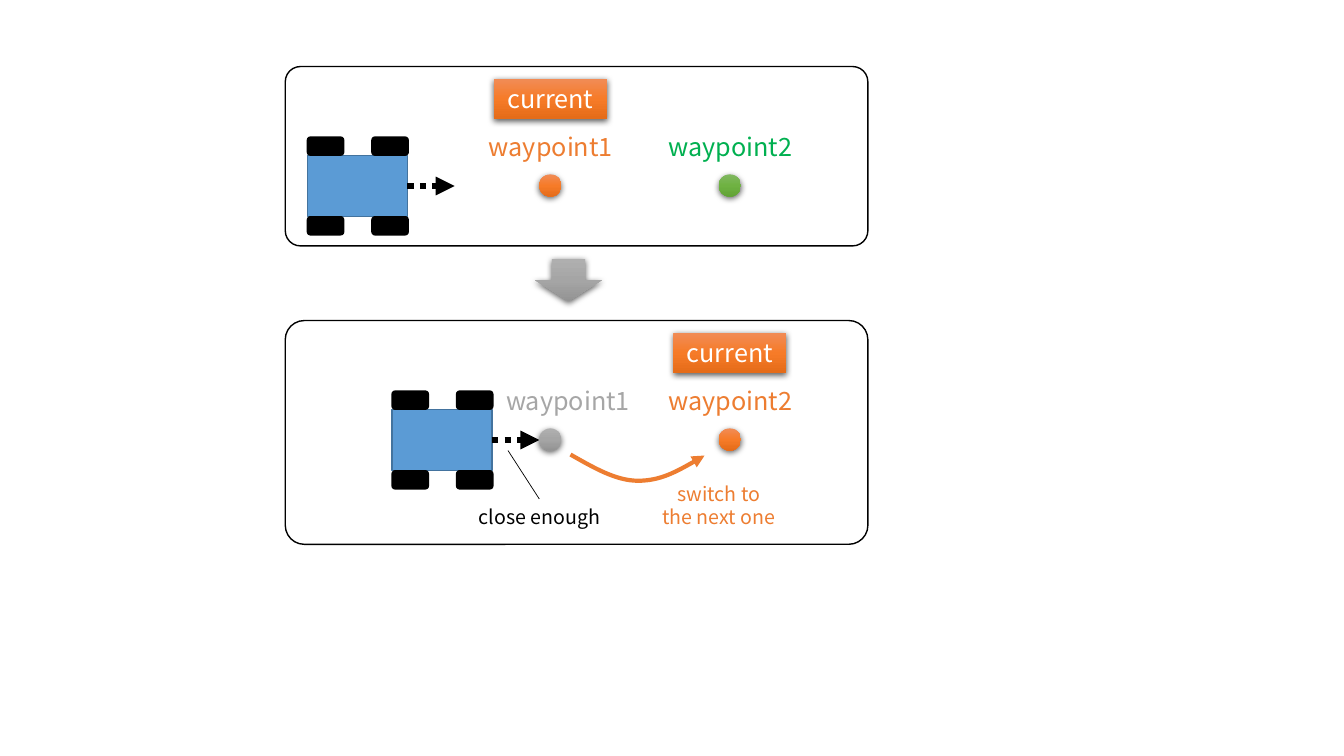
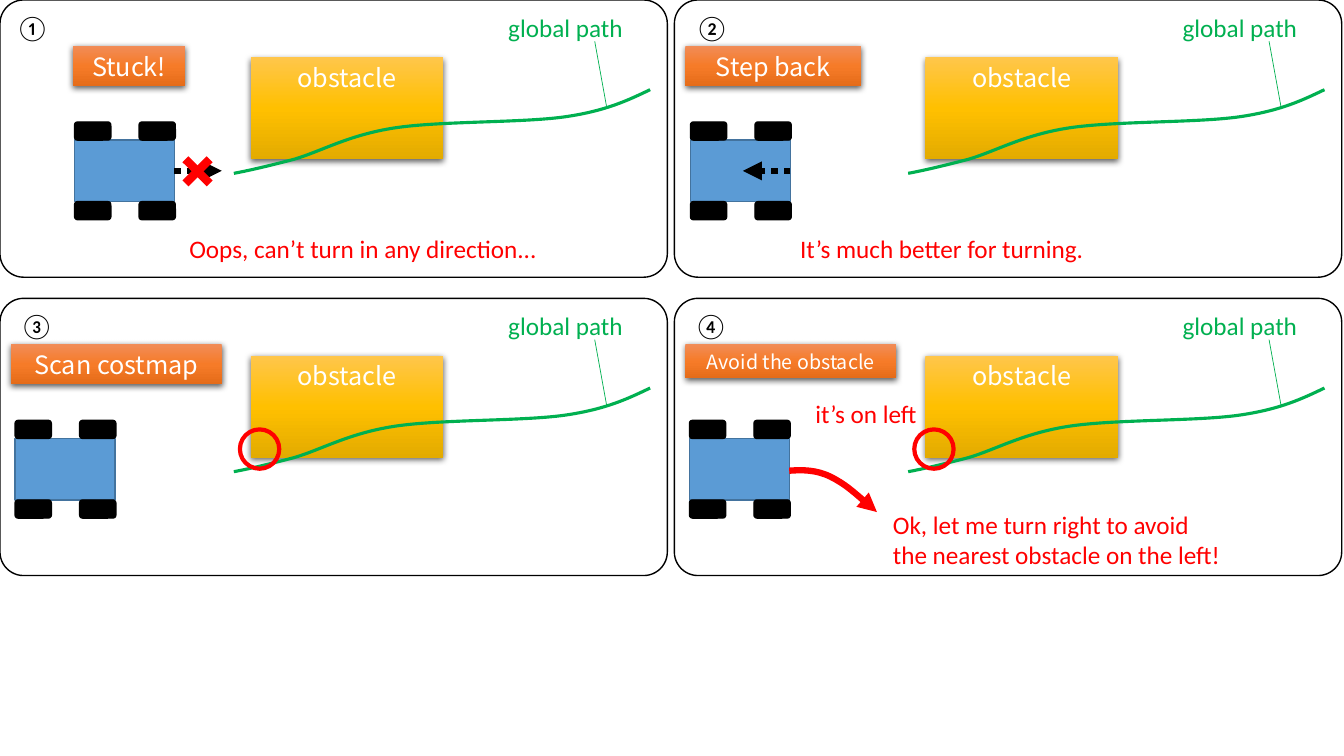
"""Build two slides on waypoint switching and obstacle avoidance for a robot."""
from copy import deepcopy
from itertools import product

from lxml.etree import SubElement
from pptx import Presentation
from pptx.dml.color import RGBColor
from pptx.enum.dml import MSO_LINE
from pptx.enum.shapes import MSO_CONNECTOR, MSO_SHAPE
from pptx.enum.text import MSO_ANCHOR, MSO_AUTO_SIZE, PP_ALIGN
from pptx.oxml.ns import qn
from pptx.util import Inches, Pt

CELL = Inches(0.1)
COLUMNS, ROWS = 133.33, 75
COLORS = {
    "black": "000000", "white": "FFFFFF", "red": "FF0000", "green": "00B050",
    "orange": "ED7D31", "gray": "A6A6A6", "robot": "5B9BD5", "robot_edge": "43739E",
}
GRADIENTS = {
    "orange": ("F18C57", "F67B28", "E56C19"),
    "green": ("81B861", "6FB242", "62A336"),
    "gray": ("AFAFAF", "A5A5A5", "939393"),
    "yellow": ("FFC64B", "FFC000", "E3AB00"),
}
LABEL_FONT, NOTE_FONT = "Noto Sans CJK JP", "Calibri"
PANEL_WIDTH, PANEL_HEIGHT = 66.2, 27.5
PANEL_STEP_X, PANEL_STEP_Y = 66.9, 29.6
GLOBAL_PATH = [
    (23.2, 17.2), (24.8, 16.9), (26.5, 16.5), (29.2, 15.8), (31.9, 15), (34.6, 13.4),
    (39.1, 12.7), (43.6, 12), (51.7, 12.2), (56, 11.6), (60.2, 11), (62.4, 9.9), (64.5, 8.9),
]


def cells(*counts):
    return [round(count * CELL) for count in counts]


def rgb(name):
    return RGBColor.from_string(COLORS[name])


def stroke(shape, color, width, dash=None, arrow=False):
    shape.line.color.rgb = rgb(color)
    shape.line.width = Pt(width)
    if dash:
        shape.line.dash_style = dash
    if arrow:
        outline = shape._element.spPr.find(qn("a:ln"))
        SubElement(outline, qn("a:tailEnd"), type="triangle")


def write(shape, text, size=18, color="black", font=LABEL_FONT,
          align=PP_ALIGN.CENTER, anchor=MSO_ANCHOR.TOP, wrap=True):
    frame = shape.text_frame
    frame.word_wrap = wrap
    frame.auto_size = MSO_AUTO_SIZE.SHAPE_TO_FIT_TEXT
    frame.vertical_anchor = anchor
    frame.text = text
    for para in frame.paragraphs:
        para.alignment = align
        for span in para.runs:
            span.font.size = Pt(size)
            span.font.name = font
            span.font.color.rgb = rgb(color)


def add_text(page, text, left, top, width, height=4, **style):
    box = page.shapes.add_textbox(*cells(left, top, width, height))
    write(box, text, **style)


def add_note(page, text, left, top, width, height=4, color="red", **style):
    style = {"font": NOTE_FONT, "align": PP_ALIGN.LEFT, **style}
    add_text(page, text, left, top, width, height, color=color, **style)


def add_flat(shapes, kind, left, top, width, height, fill=None, line="black", weight=1):
    shape = shapes.add_shape(kind, *cells(left, top, width, height))
    shape.shadow.inherit = False
    if fill:
        shape.fill.solid()
        shape.fill.fore_color.rgb = rgb(fill)
    else:
        shape.fill.background()
    stroke(shape, line, weight)
    return shape


def add_glossy(page, kind, left, top, width, height, gradient):
    shape = page.shapes.add_shape(kind, *cells(left, top, width, height))
    shape.line.fill.background()
    shape.fill.gradient()
    shape.fill.gradient_angle = 270
    properties = shape._element.spPr
    stops = properties.find(f".//{qn('a:gsLst')}")
    stops.insert(1, deepcopy(stops[0]))
    for index, (stop, value) in enumerate(zip(shape.fill.gradient_stops, GRADIENTS[gradient])):
        stop.position = index / 2
        stop.color.rgb = RGBColor.from_string(value)
    shape.shadow.inherit = False
    shadow = SubElement(properties.find(qn("a:effectLst")), qn("a:outerShdw"),
                        blurRad=str(Pt(4.5)), dist=str(Pt(1.5)), dir="5400000",
                        algn="ctr", rotWithShape="0")
    shade = SubElement(shadow, qn("a:srgbClr"), val=COLORS["black"])
    SubElement(shade, qn("a:alpha"), val="63000")
    return shape


def add_tag(page, text, left, top, width=11.2, height=4, size=18):
    tag = add_glossy(page, MSO_SHAPE.RECTANGLE, left, top, width, height, "orange")
    write(tag, text, size=size, color="white", anchor=MSO_ANCHOR.MIDDLE)


def add_line(page, start, end, color, width, **style):
    line = page.shapes.add_connector(MSO_CONNECTOR.STRAIGHT, *cells(*start, *end))
    stroke(line, color, width, **style)
    SubElement(line._element.spPr, qn("a:effectLst"))
    return line


def add_curve(page, points, color, width, arrow=False):
    start, *rest = [cells(*point) for point in points]
    builder = page.shapes.build_freeform(*start)
    builder.add_line_segments(rest, close=False)
    curve = builder.convert_to_shape()
    curve.shadow.inherit = False
    curve.fill.background()
    stroke(curve, color, width, arrow=arrow)
    outline = curve._element.spPr.find(f".//{qn('a:path')}")
    segments = outline.findall(qn("a:lnTo"))
    for index in range(0, len(segments), 3):
        bezier = SubElement(outline, qn("a:cubicBezTo"))
        for segment in segments[index:index + 3]:
            bezier.append(segment[0])
            outline.remove(segment)


def add_panel(page, left, top, width, height):
    panel = add_flat(page.shapes, MSO_SHAPE.ROUNDED_RECTANGLE, left, top, width, height)
    panel.adjustments[0] = 0.085


def add_robot(page, left, top):
    robot = page.shapes.add_group_shape()
    body = add_flat(robot.shapes, MSO_SHAPE.RECTANGLE, left, top, 9.9, 6.1,
                    "robot", "robot_edge")
    for across, down in product((0, 6.4), (-1.8, 6.1)):
        add_flat(robot.shapes, MSO_SHAPE.ROUNDED_RECTANGLE,
                 left + across, top + down, 3.6, 1.8, "black")
    return body


def add_motion(page, body, length):
    start = body.left / CELL + 9.9
    middle = body.top / CELL + 3.05
    arrow = add_line(page, (start, middle), (start + length, middle), "black", 4.5,
                     dash=MSO_LINE.ROUND_DOT, arrow=True)
    arrow.begin_connect(body, 3)


def add_stage(page, top, height, robot_left, tag_left, waypoints):
    add_panel(page, 28.3, top, 57.8, height)
    add_motion(page, add_robot(page, robot_left, top + 8.8), 4.7)
    add_tag(page, "current", tag_left, top + 1.2)
    for name, dot_left, label_left, gradient, color in waypoints:
        add_glossy(page, MSO_SHAPE.OVAL, dot_left, top + 10.7, 2.2, 2.2, gradient)
        add_text(page, name, label_left, top + 5.95, 15.3, color=color)


def build_waypoints(page):
    add_stage(page, 6.6, 17.8, 30.5, 49, [
        ("waypoint1", 53.5, 47, "orange", "orange"),
        ("waypoint2", 71.3, 64.8, "green", "green")])
    add_glossy(page, MSO_SHAPE.DOWN_ARROW, 53.1, 25.7, 6.6, 4.2, "gray")
    add_stage(page, 31.8, 22.2, 38.9, 66.8, [
        ("waypoint1", 53.5, 48.7, "gray", "gray"),
        ("waypoint2", 71.3, 64.8, "orange", "orange")])
    add_line(page, (50.4, 44.7), (53.5, 49.5), "black", 0.5)
    add_text(page, "close enough", 46, 49.6, 15.1, 3.4, size=14)
    add_curve(page, [(56.6, 45.1), (58.9, 46.4), (61.1, 47.7), (63.3, 47.7),
                     (65.5, 47.7), (67.7, 46.5), (69.9, 45.2)], "orange", 3, arrow=True)
    add_text(page, "switch to\nthe next one", 63.2, 47.3, 16.2, 5.7, size=14, color="orange")


def add_scene(page, left, top, number, number_left, robot_left, tag):
    body = add_robot(page, left + robot_left, top + 13.9)
    add_panel(page, left, top, PANEL_WIDTH, PANEL_HEIGHT)
    obstacle = add_glossy(page, MSO_SHAPE.RECTANGLE, left + 24.9, top + 5.7,
                          19.1, 10.1, "yellow")
    write(obstacle, "obstacle", color="white")
    text, tag_left, tag_style = tag
    add_tag(page, text, left + tag_left, top + 4.55, **tag_style)
    add_curve(page, [(left + x, top + y) for x, y in GLOBAL_PATH], "green", 2.25)
    add_note(page, "global path", left + 49.1, top + 0.7, 14,
             color="green", align=PP_ALIGN.CENTER)
    add_line(page, (left + 59, top + 4.1), (left + 60.2, top + 10.7), "green", 0.5)
    add_note(page, number, left + number_left, top + 0.7, 4.5, color="black", wrap=False)
    return body


def add_ring(page, left, top):
    add_flat(page.shapes, MSO_SHAPE.OVAL, left + 23.8, top + 13, 3.9, 3.9,
             line="red", weight=3)


def build_recovery(page):
    right, lower = PANEL_STEP_X, PANEL_STEP_Y
    stuck = add_scene(page, 0, 0, "①", 0.6, 7.4, ("Stuck!", 7.2, {}))
    add_motion(page, stuck, 4.7)
    for start, end in ((15.8, 18.2), (18.2, 15.8)):
        add_line(page, (18.4, start), (20.8, end), "red", 6)
    add_note(page, "Oops, can’t turn in any direction...", 17.8, 22.7, 37.4)

    backing = add_scene(page, right, 0, "②", 1.1, 1.6, ("Step back", 1.1, {"width": 17.4}))
    add_motion(page, backing, -4.7)
    add_note(page, "It’s much better for turning.", 78.4, 22.7, 33.3)

    add_scene(page, 0, lower, "③", 1, 1.5, ("Scan costmap", 1.1, {"width": 20.9}))
    add_ring(page, 0, lower)

    add_scene(page, right, lower, "④", 1, 1.5,
              ("Avoid the obstacle", 1.1, {"width": 20.9, "height": 3.4, "size": 14}))
    add_ring(page, right, lower)
    add_note(page, "it’s on left", 79.9, 39, 12.7)
    add_curve(page, [(78.3, 46.7), (79.6, 46.6), (81, 46.6), (82.4, 47.3),
                     (83.8, 48), (85.4, 49.4), (87, 50.8)], "red", 4.5, arrow=True)
    add_note(page, "Ok, let me turn right to avoid\nthe nearest obstacle on the left!",
             87.6, 50, 35.7, 7.1)


def main():
    deck = Presentation()
    deck.slide_width, deck.slide_height = cells(COLUMNS, ROWS)
    blank = deck.slide_layouts[6]
    for build in (build_waypoints, build_recovery):
        build(deck.slides.add_slide(blank))
    deck.save("out.pptx")


if __name__ == "__main__":
    main()
